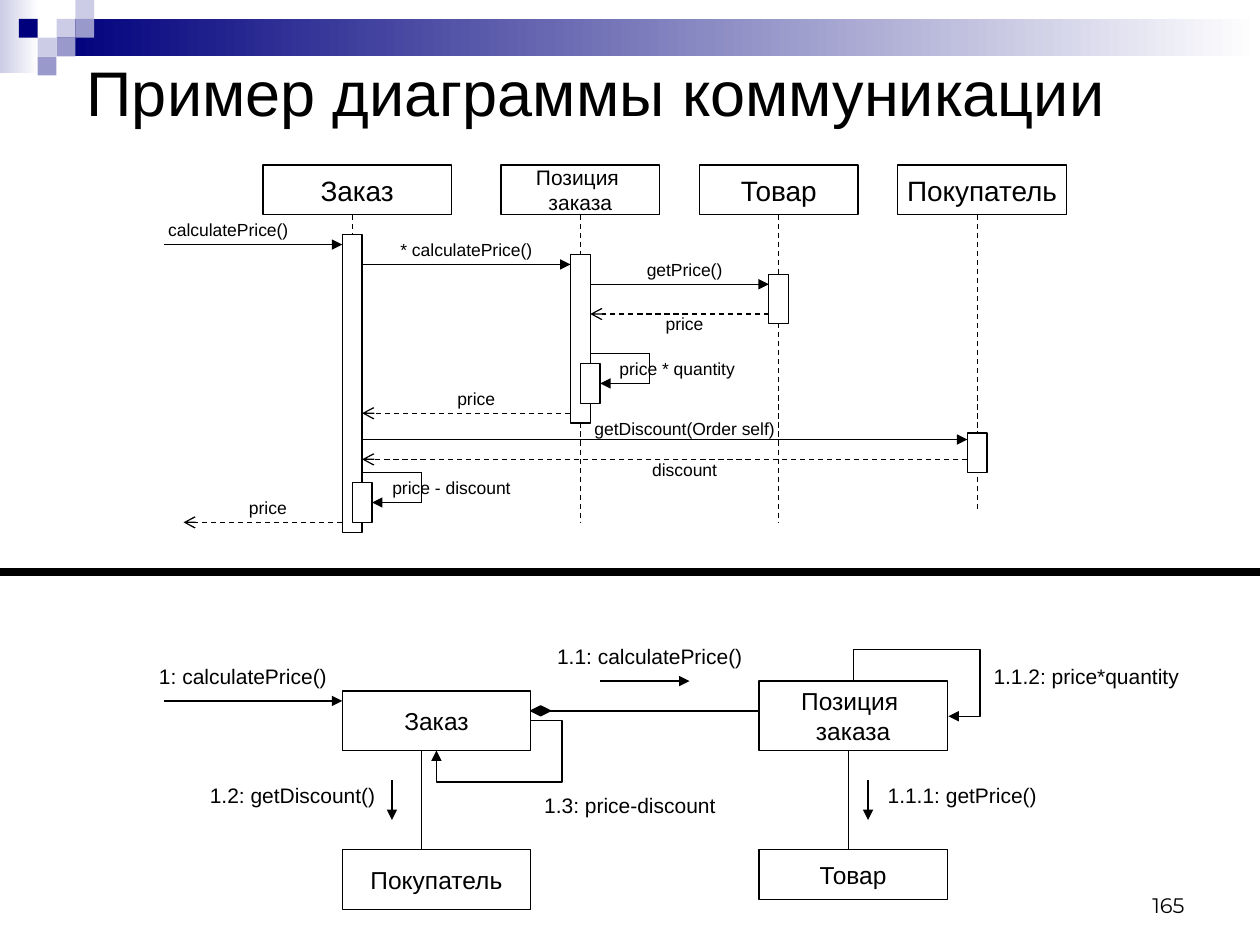
from dataclasses import dataclass

from lxml import etree
from pptx import Presentation
from pptx import util as u
from pptx.dml.color import RGBColor
from pptx.enum import dml, shapes, text
from pptx.oxml.ns import qn

BLACK = RGBColor(0x00, 0x00, 0x00)
WHITE = RGBColor(0xFF, 0xFF, 0xFF)
NAVY = RGBColor(0x00, 0x00, 0x7D)
LILAC = RGBColor(0x99, 0x99, 0xCC)
PALE = RGBColor(0xCC, 0xCC, 0xE6)

CALL, REPLY = "triangle", "arrow"
BAR_WIDTH = 0.4
HEADER_TOP, HEADER_BOTTOM = 3.33, 4.33


@dataclass
class Box:
    """A framed object name; all lengths are centimetres."""
    name: str
    left: float
    top: float
    width: float
    height: float
    size: int = 14


@dataclass
class Lifeline:
    x: float
    bottom: float


@dataclass
class Bar:
    left: float
    top: float
    height: float


@dataclass
class Line:
    x1: float
    y1: float
    x2: float
    y2: float
    arrow: str = ""
    dashed: bool = False


@dataclass
class Label:
    text: str
    left: float
    top: float
    width: float
    height: float = 0.6


HEADERS = [
    Box("Заказ", 5.3, HEADER_TOP, 3.8, 1, 16),
    Box("Позиция \nзаказа", 10.1, HEADER_TOP, 3.2, 1, 12),
    Box("Товар", 14.1, HEADER_TOP, 3.2, 1, 16),
    Box("Покупатель", 18.1, HEADER_TOP, 3.4, 1, 16),
]
LIFELINES = [Lifeline(7.1, 8.92), Lifeline(11.7, 10.53), Lifeline(15.7, 10.53), Lifeline(19.7, 10.33)]
BARS = [Bar(6.9, 4.73, 6), Bar(11.5, 5.13, 3.4), Bar(15.5, 5.53, 1), Bar(19.5, 8.73, 0.8)]
NESTED_BARS = [Bar(11.7, 7.33, 0.8), Bar(7.1, 9.73, 0.8)]
MESSAGES = [
    Line(3.3, 4.93, 6.9, 4.93, CALL),
    Line(7.3, 5.33, 11.5, 5.33, CALL),
    Line(11.9, 5.73, 15.5, 5.73, CALL),
    Line(15.5, 6.33, 11.9, 6.33, REPLY, True),
    Line(11.5, 8.33, 7.3, 8.33, REPLY, True),
    Line(7.3, 8.86, 19.5, 8.86, CALL),
    Line(19.5, 9.26, 7.3, 9.26, REPLY, True),
    Line(6.9, 10.53, 3.7, 10.53, REPLY, True),
]
MESSAGE_LABELS = [
    Label("calculatePrice()", 3.1, 4.33, 3),
    Label("* calculatePrice()", 7.6, 4.73, 3.6),
    Label("getPrice()", 12.7, 5.13, 2.2),
    Label("price", 12.7, 6.38, 2.2, 0.3),
    Label("price * quantity", 12.05, 7.13, 3.2),
    Label("price", 8.5, 7.73, 2.2),
    Label("getDiscount(Order self)", 11.5, 8.33, 4.6),
    Label("discount", 12.7, 9.32, 2.2, 0.3),
    Label("price - discount", 7.5, 9.53, 3.2),
    Label("price", 4.3, 9.93, 2.2),
]

OBJECTS = [
    Box("Заказ", 6.9, 13.93, 3.8, 1.2),
    Box("Позиция \nзаказа", 15.3, 13.73, 3.8, 1.4),
    Box("Товар", 15.3, 17.13, 3.8, 1),
    Box("Покупатель", 6.9, 17.13, 3.8, 1.2),
]
LINKS = [
    Line(10.7, 14.33, 15.3, 14.33),
    Line(8.5, 15.13, 8.5, 17.13),
    Line(17.1, 15.13, 17.1, 17.13),
    Line(12.1, 13.73, 13.9, 13.73, CALL),
    Line(17.5, 15.73, 17.5, 16.53, CALL),
    Line(7.9, 15.73, 7.9, 16.53, CALL),
    Line(3.3, 14.13, 6.9, 14.13, CALL),
]
LINK_LABELS = [
    Label("1: calculatePrice()", 2.5, 13.33, 4.8),
    Label("1.1: calculatePrice()", 10.7, 12.93, 4.8),
    Label("1.1.1: getPrice()", 17.4, 15.73, 4),
    Label("1.1.2: price*quantity", 19.5, 13.33, 4.8),
    Label("1.2: getDiscount()", 3.5, 15.73, 4.8),
    Label("1.3: price-discount", 10.3, 15.93, 4.8),
]


def write(shape, content: str, *, size: int = 12, font: str = "Arial", align=text.PP_ALIGN.CENTER,
          anchor=text.MSO_ANCHOR.MIDDLE, wrap: bool = False) -> None:
    frame = shape.text_frame
    frame.word_wrap = wrap
    frame.vertical_anchor = anchor
    frame.text = content
    for paragraph in frame.paragraphs:
        paragraph.alignment = align
        paragraph.font.size = u.Pt(size)
        paragraph.font.name = font
        paragraph.font.color.rgb = BLACK


def add_text(slide, content: str, left: float, top: float, width: float, height: float, **style) -> None:
    write(slide.shapes.add_textbox(u.Cm(left), u.Cm(top), u.Cm(width), u.Cm(height)), content, **style)


def add_block(slide, left: float, top: float, width: float, height: float, *, fill=None,
              outlined: bool = True, kind=shapes.MSO_SHAPE.RECTANGLE):
    """Fill is None, one colour, or a (right, left) pair for a gradient."""
    shape = slide.shapes.add_shape(kind, u.Cm(left), u.Cm(top), u.Cm(width), u.Cm(height))
    shape.shadow.inherit = False
    if fill is None:
        shape.fill.background()
    elif isinstance(fill, RGBColor):
        shape.fill.solid()
        shape.fill.fore_color.rgb = fill
    else:
        shape.fill.gradient()
        shape.fill.gradient_angle = 180
        for stop, color in zip(shape.fill.gradient_stops, fill):
            stop.color.rgb = color
    if outlined:
        shape.line.color.rgb = BLACK
        shape.line.width = u.Pt(0.75)
    else:
        shape.line.fill.background()
    return shape


def add_line(slide, line: Line, *, weight: float = 0.75, kind=shapes.MSO_CONNECTOR.STRAIGHT):
    ends = [u.Cm(value) for value in (line.x1, line.y1, line.x2, line.y2)]
    connector = slide.shapes.add_connector(kind, *ends)
    connector.line.color.rgb = BLACK
    connector.line.width = u.Pt(weight)
    if line.dashed:
        connector.line.dash_style = dml.MSO_LINE.DASH
    properties = connector._element.spPr
    if line.arrow:
        etree.SubElement(properties.find(qn("a:ln")), qn("a:tailEnd"), type=line.arrow)
    etree.SubElement(properties, qn("a:effectLst"))
    return connector


def add_bent_arrow(slide, line: Line, adjustments: tuple[int, int], rotation: int = 0) -> None:
    """Four-segment elbow; the line gives its ends before rotation in degrees."""
    connector = add_line(slide, line, kind=shapes.MSO_CONNECTOR.ELBOW)
    properties = connector._element.spPr
    properties.find(qn("a:xfrm")).set("rot", str(rotation * 60000))
    geometry = properties.find(qn("a:prstGeom"))
    geometry.set("prst", "bentConnector4")
    guides = geometry.find(qn("a:avLst"))
    for number, value in enumerate(adjustments, 1):
        etree.SubElement(guides, qn("a:gd"), name=f"adj{number}", fmla=f"val {value}")


def add_self_call(slide, bar: Bar) -> None:
    """Loop from the outer bar back to the nested one."""
    start, top = bar.left + BAR_WIDTH / 2, bar.top - 0.2
    right, bottom = start + 1.2, top + 0.6
    add_line(slide, Line(start, top, right, top))
    add_line(slide, Line(right, top, right, bottom))
    add_line(slide, Line(right, bottom, bar.left + BAR_WIDTH, bottom, CALL))


def add_decoration(slide) -> None:
    add_block(slide, 0, 0, 0.78, 1.47, fill=(WHITE, PALE), outlined=False)
    add_block(slide, 1.14, 0.38, 24.26, 0.76, fill=(WHITE, NAVY), outlined=False)
    side = 0.38
    tiles = [(3, 1, PALE), (4, 0, PALE), (4, 1, LILAC), (2, 2, PALE), (1, 1, NAVY), (3, 2, LILAC), (2, 3, LILAC)]
    for column, row, color in tiles:
        add_block(slide, column * side, row * side, side, side, fill=color, outlined=False)


def add_boxes(slide, boxes: list[Box]) -> None:
    for box in boxes:
        write(add_block(slide, box.left, box.top, box.width, box.height), box.name, size=box.size)


def add_labels(slide, labels: list[Label], size: int) -> None:
    for label in labels:
        add_text(slide, label.text, label.left, label.top, label.width, label.height, size=size)


def add_sequence_diagram(slide) -> None:
    for lifeline in LIFELINES:
        add_line(slide, Line(lifeline.x, HEADER_BOTTOM, lifeline.x, lifeline.bottom, dashed=True))
    add_boxes(slide, HEADERS)
    for bar in BARS + NESTED_BARS:
        add_block(slide, bar.left, bar.top, BAR_WIDTH, bar.height, fill=WHITE)
    for message in MESSAGES:
        add_line(slide, message)
    for bar in NESTED_BARS:
        add_self_call(slide, bar)
    add_labels(slide, MESSAGE_LABELS, 10)


def add_communication_diagram(slide) -> None:
    add_boxes(slide, OBJECTS)
    for link in LINKS:
        add_line(slide, link)
    add_bent_arrow(slide, Line(18.52, 13.13, 17.81, 15.04, CALL), (-90500, 133400), rotation=270)
    add_bent_arrow(slide, Line(10.7, 14.53, 8.8, 15.13, CALL), (-33400, 205800))
    add_block(slide, 10.7, 14.23, 0.4, 0.2, fill=BLACK, kind=shapes.MSO_SHAPE.FLOWCHART_DECISION)
    add_labels(slide, LINK_LABELS, 12)


def main() -> None:
    presentation = Presentation()
    presentation.slide_width, presentation.slide_height = u.Cm(25.4), u.Cm(19.05)
    slide = presentation.slides.add_slide(presentation.slide_layouts[6])
    add_decoration(slide)
    add_text(slide, "Пример диаграммы коммуникации", 1.5, 0.91, 23.2, 1.85,
             size=36, align=text.PP_ALIGN.LEFT, wrap=True)
    add_sequence_diagram(slide)
    add_line(slide, Line(0, 11.53, 25.4, 11.53), weight=5)
    add_communication_diagram(slide)
    add_text(slide, "165", 18.21, 17.35, 5.92, 1.27, font="Montserrat",
             align=text.PP_ALIGN.RIGHT, anchor=text.MSO_ANCHOR.BOTTOM, wrap=True)
    presentation.save("out.pptx")


if __name__ == "__main__":
    main()
